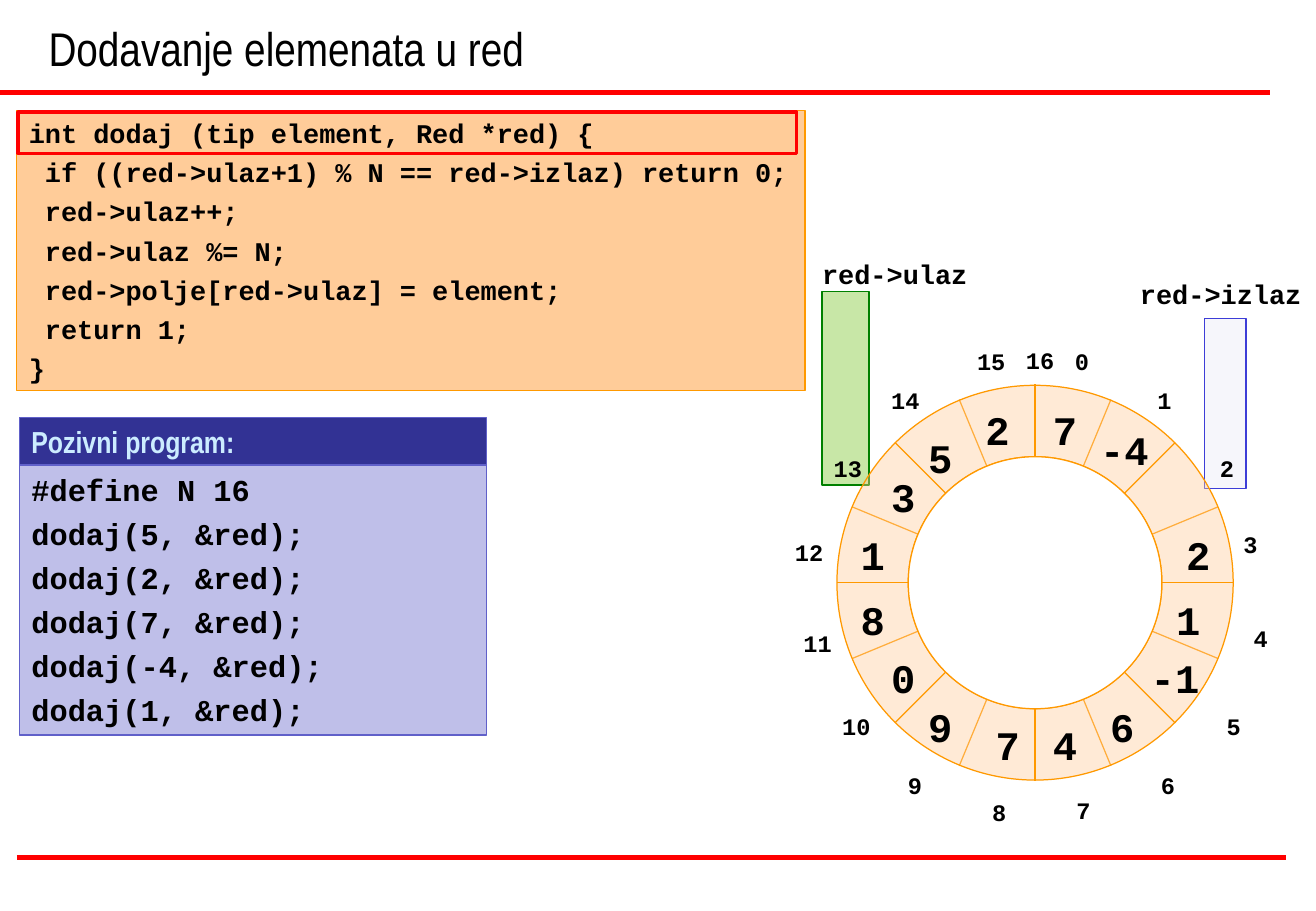
from math import cos, pi, sin

from lxml import etree
from pptx import Presentation
from pptx.dml.color import RGBColor
from pptx.enum import shapes, text
from pptx.oxml import ns
from pptx.util import Pt

BLACK = RGBColor(0x00, 0x00, 0x00)
WHITE = RGBColor(0xFF, 0xFF, 0xFF)
RED = RGBColor(0xFF, 0x00, 0x00)
PEACH = RGBColor(0xFF, 0xCC, 0x99)
ORANGE = RGBColor(0xFF, 0x99, 0x00)
LIME = RGBColor(0x92, 0xD0, 0x50)
GREEN = RGBColor(0x00, 0x80, 0x00)
PALE = RGBColor(0xEE, 0xEE, 0xF9)
BLUE = RGBColor(0x3D, 0x3D, 0xD7)
NAVY = RGBColor(0x32, 0x32, 0x94)
VIOLET = RGBColor(0x60, 0x60, 0xC9)
ICE = RGBColor(0xCC, 0xEC, 0xFF)

SLIDE_W, SLIDE_H = 780.48, 540
CODE_FONT = "Courier New"
TITLE_FONT = "Arial Narrow"
INSET_X, INSET_Y = 7.2, 3.6

ADD_CODE = [
    "int dodaj (tip element, Red *red) {",
    " if ((red->ulaz+1) % N == red->izlaz) return 0;",
    " red->ulaz++;",
    " red->ulaz %= N;",
    " red->polje[red->ulaz] = element;",
    " return 1;",
    "}",
]
CALLS = ["#define N 16"] + [f"dodaj({n}, &red);" for n in (5, 2, 7, -4, 1)]

INDEX_SPOTS = [
    (134, -26), (183, -3), (220, 37), (234, 82), (240, 138), (224, 190),
    (185, 225), (135, 240), (85, 241), (35, 225), (-4, 190), (-27, 141),
    (-32, 87), (-9, 37), (25, -3), (76, -26), (105, -27),
]
VALUE_SPOTS = [
    (7, 121, 8), (-4, 149, 20), (2, 200, 82), (1, 194, 121), (-1, 179, 155),
    (6, 155, 184), (4, 121, 195), (7, 87, 195), (9, 47, 184), (0, 25, 155),
    (8, 7, 121), (1, 7, 82), (3, 25, 48), (5, 47, 25), (2, 81, 8),
]


def write(sp, lines, size=16, font=CODE_FONT, color=BLACK, bold=True,
          anchor=text.MSO_ANCHOR.TOP, wrap=True):
    tf = sp.text_frame
    tf.word_wrap = wrap
    tf.vertical_anchor = anchor
    tf.margin_left = tf.margin_right = Pt(INSET_X)
    tf.margin_top = tf.margin_bottom = Pt(INSET_Y)
    for i, line in enumerate(lines):
        p = tf.add_paragraph() if i else tf.paragraphs[0]
        p.alignment = text.PP_ALIGN.LEFT
        if i:
            p.space_before = Pt(0.25 * size)
        r = p.add_run()
        r.text = line
        r.font.size = Pt(size)
        r.font.name = font
        r.font.bold = bold
        r.font.color.rgb = color


def label(slide, x, y, value, size):
    w = len(value) * 0.6 * size + 2 * INSET_X
    h = 1.13 * size + 2 * INSET_Y
    write(slide.shapes.add_textbox(Pt(x), Pt(y), Pt(w), Pt(h)), [value],
          size=size, wrap=False)


def shape(slide, kind, box, fill, line, width=0.75, alpha=100):
    sp = slide.shapes.add_shape(kind, *map(Pt, box))
    sp.shadow.inherit = False
    sp.line.color.rgb = line
    sp.line.width = Pt(width)
    if fill is None:
        sp.fill.background()
        return sp
    sp.fill.solid()
    sp.fill.fore_color.rgb = fill
    if alpha < 100:
        color = sp.fill._xPr.find(".//" + ns.qn("a:srgbClr"))
        etree.SubElement(color, ns.qn("a:alpha"), val=str(alpha * 1000))
    return sp


def rect(slide, *args, **kwargs):
    return shape(slide, shapes.MSO_SHAPE.RECTANGLE, *args, **kwargs)


def line(slide, x1, y1, x2, y2, color, width):
    c = slide.shapes.add_connector(shapes.MSO_CONNECTOR.STRAIGHT,
                                   Pt(x1), Pt(y1), Pt(x2), Pt(y2))
    c.line.color.rgb = color
    c.line.width = Pt(width)
    etree.SubElement(c._element.spPr, ns.qn("a:effectLst"))


def frame(slide, box, title):
    x, y, w, h = box
    sp = slide.shapes.title
    sp.left, sp.top, sp.width, sp.height = map(Pt, (x + 21.6, y, 731.5, 48.6))
    write(sp, [title], size=28, font=TITLE_FONT, bold=False,
          anchor=text.MSO_ANCHOR.BOTTOM)
    for left, top in ((x, y + 54.7), (x + 10, y + h - 31.7)):
        line(slide, left, top, left + 753, top, RED, 3)


def code_panel(slide, box):
    x, y, w, h = box
    write(rect(slide, box, PEACH, ORANGE), ADD_CODE)
    rect(slide, (x + 0.7, y + 0.7, w - 5.8, 24.5), None, RED, width=2)


def calls_panel(slide, box):
    x, y, w, h = box
    head = 28
    write(rect(slide, (x, y, w, head), NAVY, VIOLET), ["Pozivni program:"],
          size=18, font=TITLE_FONT, color=ICE, anchor=text.MSO_ANCHOR.MIDDLE)
    body = rect(slide, (x, y + head, w, h - head), VIOLET, VIOLET, alpha=40)
    write(body, CALLS, size=18)


def pointer(slide, box, name, offset, fill, color):
    x, y, w, h = box
    dx, dy = offset
    rect(slide, box, fill, color, alpha=50)
    label(slide, x + dx, y + dy, name, 16)


def spokes(slide, box, steps):
    x, y, w, h = box
    cx, cy, radius = x + w / 2, y + h / 2, w / 2
    for step in steps:
        dx = radius * cos(step * pi / 8)
        dy = radius * sin(step * pi / 8)
        line(slide, cx + dx, cy + dy, cx - dx, cy - dy, ORANGE, 0.75)


def ring(slide, box):
    x, y, w, h = box
    band = 42.3
    spokes(slide, box, range(1, 8, 2))
    donut = shape(slide, shapes.MSO_SHAPE.DONUT, box, PEACH, ORANGE, alpha=40)
    donut.adjustments[0] = band / h
    spokes(slide, box, range(0, 8, 2))
    hole = (x + band, y + band, w - 2 * band, h - 2 * band)
    shape(slide, shapes.MSO_SHAPE.OVAL, hole, WHITE, ORANGE)
    for index, (dx, dy) in enumerate(INDEX_SPOTS):
        label(slide, x + dx, y + dy, str(index), 14)
    for value, dx, dy in VALUE_SPOTS:
        label(slide, x + dx, y + dy, str(value), 24)


def main():
    prs = Presentation()
    prs.slide_width, prs.slide_height = Pt(SLIDE_W), Pt(SLIDE_H)
    slide = prs.slides.add_slide(prs.slide_layouts[5])
    frame(slide, (0, 0, SLIDE_W, SLIDE_H), "Dodavanje elemenata u red")
    pointer(slide, (487.5, 173, 28, 114.5), "red->ulaz", (-7, -24), LIME, GREEN)
    pointer(slide, (714.5, 189, 24.5, 100.5), "red->izlaz", (-45.5, -28),
            PALE, BLUE)
    code_panel(slide, (10, 65.7, 467.5, 165.6))
    ring(slide, (496.4, 228.4, 235, 234))
    calls_panel(slide, (11.5, 247.7, 277.2, 188))
    prs.save("out.pptx")


if __name__ == "__main__":
    main()
